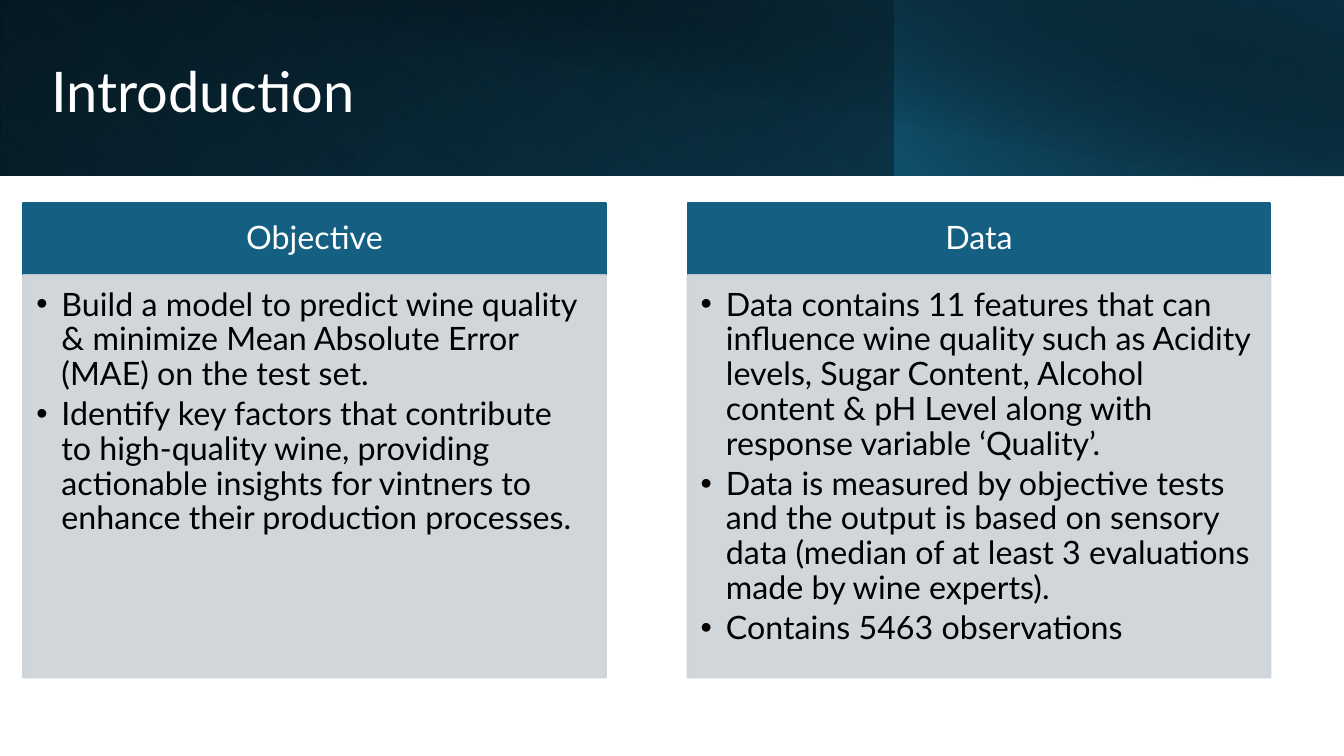
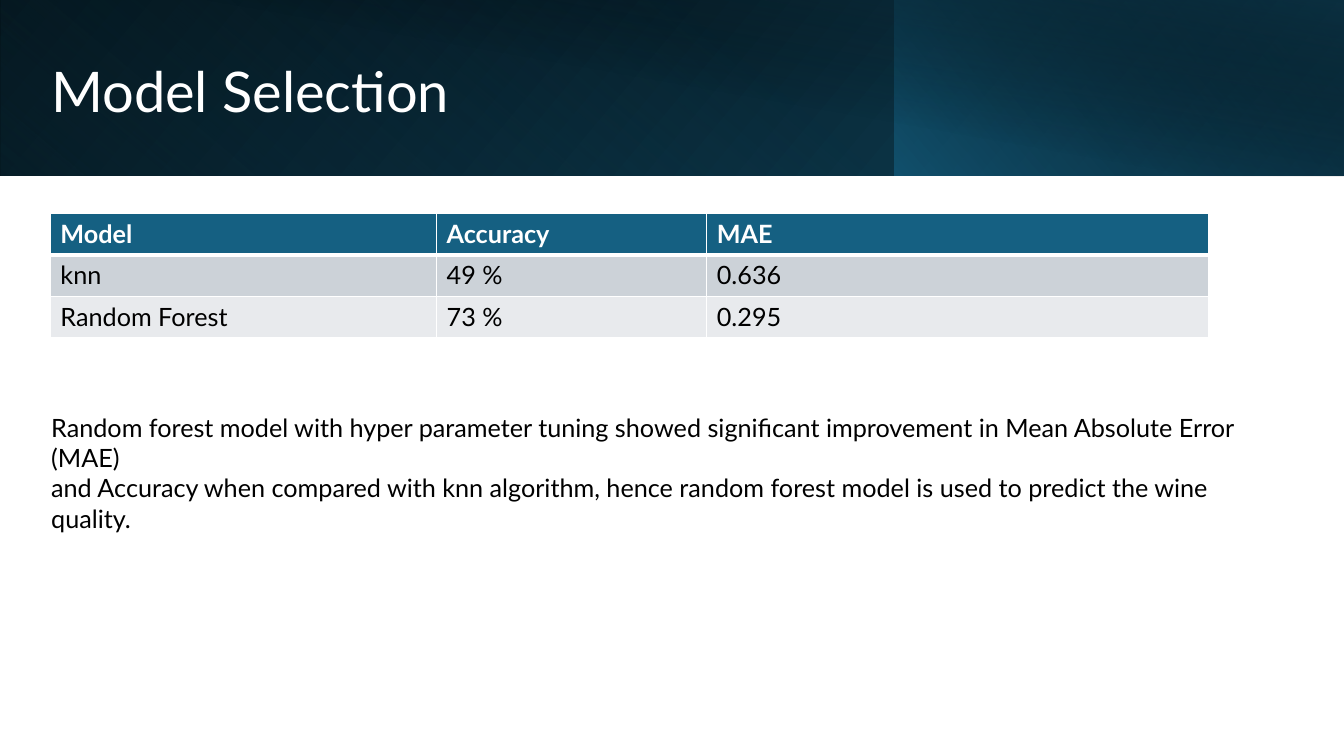
"""Build two wine quality slides: an introduction and the model selection."""
from dataclasses import dataclass

from lxml.etree import SubElement
from pptx import Presentation
from pptx.dml.color import RGBColor
from pptx.enum.shapes import MSO_SHAPE
from pptx.enum.text import MSO_ANCHOR, PP_ALIGN
from pptx.oxml import parse_xml
from pptx.oxml.ns import nsdecls, qn
from pptx.util import Inches, Pt


@dataclass(frozen=True)
class Theme:
    font: str = "Lato"
    accent: str = "156082"
    panel: str = "CCD2D8"
    pale: str = "E8EAED"
    navy: str = "0B3041"
    blue: str = "104862"
    white: str = "FFFFFF"
    black: str = "000000"
    title_size: int = 40
    panel_size: int = 23
    body_size: int = 18


theme = Theme()


def add_span(para, text, size, color, bold=False):
    span = para.add_run()
    span.text = text
    span.font.name = theme.font
    span.font.size = Pt(size)
    span.font.bold = bold
    span.font.color.rgb = RGBColor.from_string(color)


def add_box(page, left, top, width, height, color=None, opacity=100):
    box = page.shapes.add_shape(
        MSO_SHAPE.RECTANGLE, Inches(left), Inches(top), Inches(width), Inches(height)
    )
    box.shadow.inherit = False
    if color is None:
        box.line.fill.background()
        return box
    box.line.width = Pt(1.5)
    for paint in (box.fill, box.line.fill):
        paint.solid()
        paint.fore_color.rgb = RGBColor.from_string(color)
    if opacity < 100:
        for tint in box.element.spPr.iter(qn("a:srgbClr")):
            SubElement(tint, qn("a:alpha"), val=str(opacity * 1000))
    return box


deck = Presentation()
deck.slide_width = Inches(13.33)
deck.slide_height = Inches(7.5)

bands = [
    (0, 13.33, 1.74, 0, True, 140, [(0, theme.black, 100), (100, theme.blue, 100)]),
    (0, 8.88, 1.74, 180, True, 230, [(20, theme.accent, 0), (100, theme.navy, 55)]),
    (8.87, 4.46, 1.74, 0, True, 220, [(0, theme.accent, 66), (100, theme.black, 30)]),
    (0.5, 12.83, 1.75, 0, False, 280, [(50, theme.black, 0), (99, theme.navy, 52)]),
]

pages = []
for title in ("Introduction", "Model Selection"):
    page = deck.slides.add_slide(deck.slide_layouts[6])
    pages.append(page)
    for left, width, height, rotation, flipped, angle, stops in bands:
        band = add_box(page, left, 0, width, height)
        band.rotation = rotation
        if flipped:
            band.element.spPr.find(qn("a:xfrm")).set("flipH", "1")
        stop_xml = "".join(
            f'<a:gs pos="{place * 1000}"><a:srgbClr val="{color}">'
            f'<a:alpha val="{opacity * 1000}"/></a:srgbClr></a:gs>'
            for place, color, opacity in stops
        )
        gradient = parse_xml(
            f'<a:gradFill {nsdecls("a")} rotWithShape="1"><a:gsLst>{stop_xml}</a:gsLst>'
            f'<a:lin ang="{angle * 60000}" scaled="0"/></a:gradFill>'
        )
        band.element.spPr.find(qn("a:prstGeom")).addnext(gradient)
    box = page.shapes.add_textbox(Inches(0.41), Inches(0.37), Inches(10.82), Inches(1.13))
    box.text_frame.word_wrap = True
    box.text_frame.vertical_anchor = MSO_ANCHOR.MIDDLE
    para = box.text_frame.paragraphs[0]
    para.line_spacing = 0.9
    add_span(para, title, theme.title_size, theme.white)

introduction, selection = pages

panels = [
    ("Objective", [
        "Build a model to predict wine quality & minimize Mean Absolute Error (MAE) "
        "on the test set.",
        "Identify key factors that contribute to high-quality wine, providing actionable "
        "insights for vintners to enhance their production processes.",
    ]),
    ("Data", [
        "Data contains 11 features that can influence wine quality such as Acidity levels, "
        "Sugar Content, Alcohol content & pH Level along with response variable ‘Quality’.",
        "Data is measured by objective tests and the output is based on sensory data "
        "(median of at least 3 evaluations made by wine experts).",
        "Contains 5463 observations",
    ]),
]
panel_width, panel_step = 5.78, 6.59
for index, (heading, points) in enumerate(panels):
    left = 0.23 + index * panel_step
    header = add_box(introduction, left, 2.01, panel_width, 0.72, theme.accent)
    header.text_frame.vertical_anchor = MSO_ANCHOR.MIDDLE
    para = header.text_frame.paragraphs[0]
    para.alignment = PP_ALIGN.CENTER
    para.line_spacing = 0.9
    add_span(para, heading, theme.panel_size, theme.white)

    body = add_box(introduction, left, 2.73, panel_width, 3.99, theme.panel, 90)
    frame = body.text_frame
    frame.word_wrap = True
    frame.vertical_anchor = MSO_ANCHOR.TOP
    frame.margin_left = frame.margin_top = Inches(0.13)
    frame.margin_right = Inches(0.18)
    frame.margin_bottom = Inches(0.2)
    for number, point in enumerate(points):
        para = frame.add_paragraph() if number else frame.paragraphs[0]
        para.alignment = PP_ALIGN.LEFT
        para.line_spacing = 0.9
        para.space_after = Pt(3.8)
        settings = para._p.get_or_add_pPr()
        settings.set("marL", str(Inches(0.25)))
        settings.set("indent", str(Inches(-0.25)))
        SubElement(settings, qn("a:buFont"), typeface="Arial")
        SubElement(settings, qn("a:buChar"), char="•")
        add_span(para, point, theme.panel_size, theme.black)

scores = [
    ("Model", "Accuracy", "MAE"),
    ("knn", "49 %", "0.636"),
    ("Random Forest", "73 %", "0.295"),
]
row_fills = (theme.accent, theme.panel, theme.pale)
column_widths = (3.83, 2.68, 4.98)
row_height = 0.41
table = selection.shapes.add_table(
    len(scores), len(column_widths), Inches(0.5), Inches(2.12),
    Inches(sum(column_widths)), Inches(row_height * len(scores)),
).table
for column, width in zip(table.columns, column_widths):
    column.width = Inches(width)
for row_index, values in enumerate(scores):
    table.rows[row_index].height = Inches(row_height)
    is_header = row_index == 0
    for column_index, value in enumerate(values):
        cell = table.cell(row_index, column_index)
        cell.fill.solid()
        cell.fill.fore_color.rgb = RGBColor.from_string(row_fills[row_index])
        text_color = theme.white if is_header else theme.black
        add_span(cell.text_frame.paragraphs[0], value, theme.body_size, text_color, is_header)
        for position, side in enumerate("LRTB"):
            under_header = (row_index, side) in ((0, "B"), (1, "T"))
            border = parse_xml(
                f'<a:ln{side} {nsdecls("a")} w="{Pt(3 if under_header else 1)}"><a:solidFill>'
                f'<a:srgbClr val="{theme.white}"/></a:solidFill></a:ln{side}>'
            )
            cell._tc.get_or_add_tcPr().insert(position, border)

conclusion = [
    "Random forest model with hyper parameter tuning showed significant improvement "
    "in Mean Absolute Error (MAE)",
    "and Accuracy when compared with knn algorithm, hence random forest model is used "
    "to predict the wine quality.",
]
box = selection.shapes.add_textbox(Inches(0.41), Inches(4.04), Inches(12.47), Inches(0.71))
box.text_frame.word_wrap = True
for number, sentence in enumerate(conclusion):
    para = box.text_frame.add_paragraph() if number else box.text_frame.paragraphs[0]
    add_span(para, sentence, theme.body_size, theme.black)

deck.save("out.pptx")
